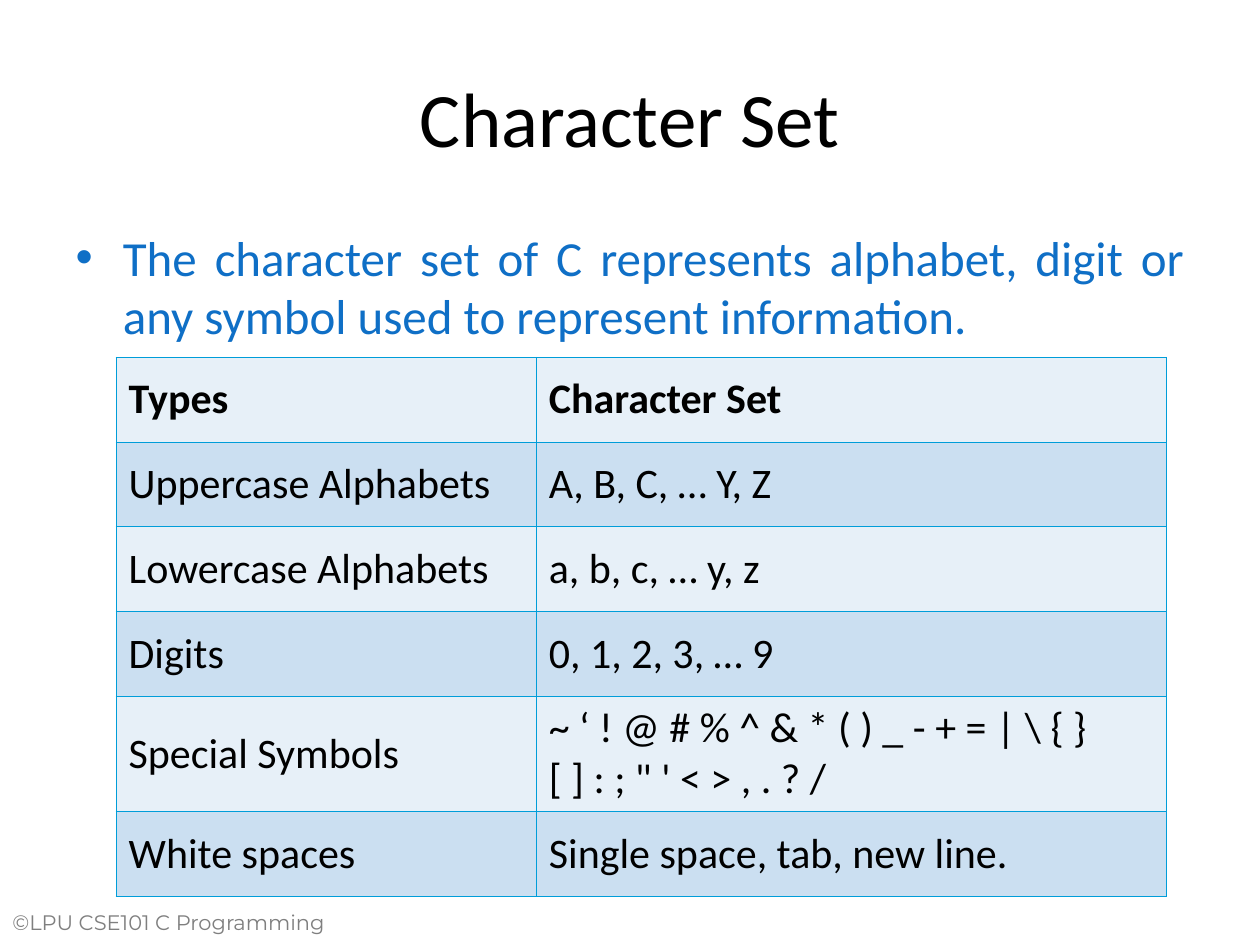
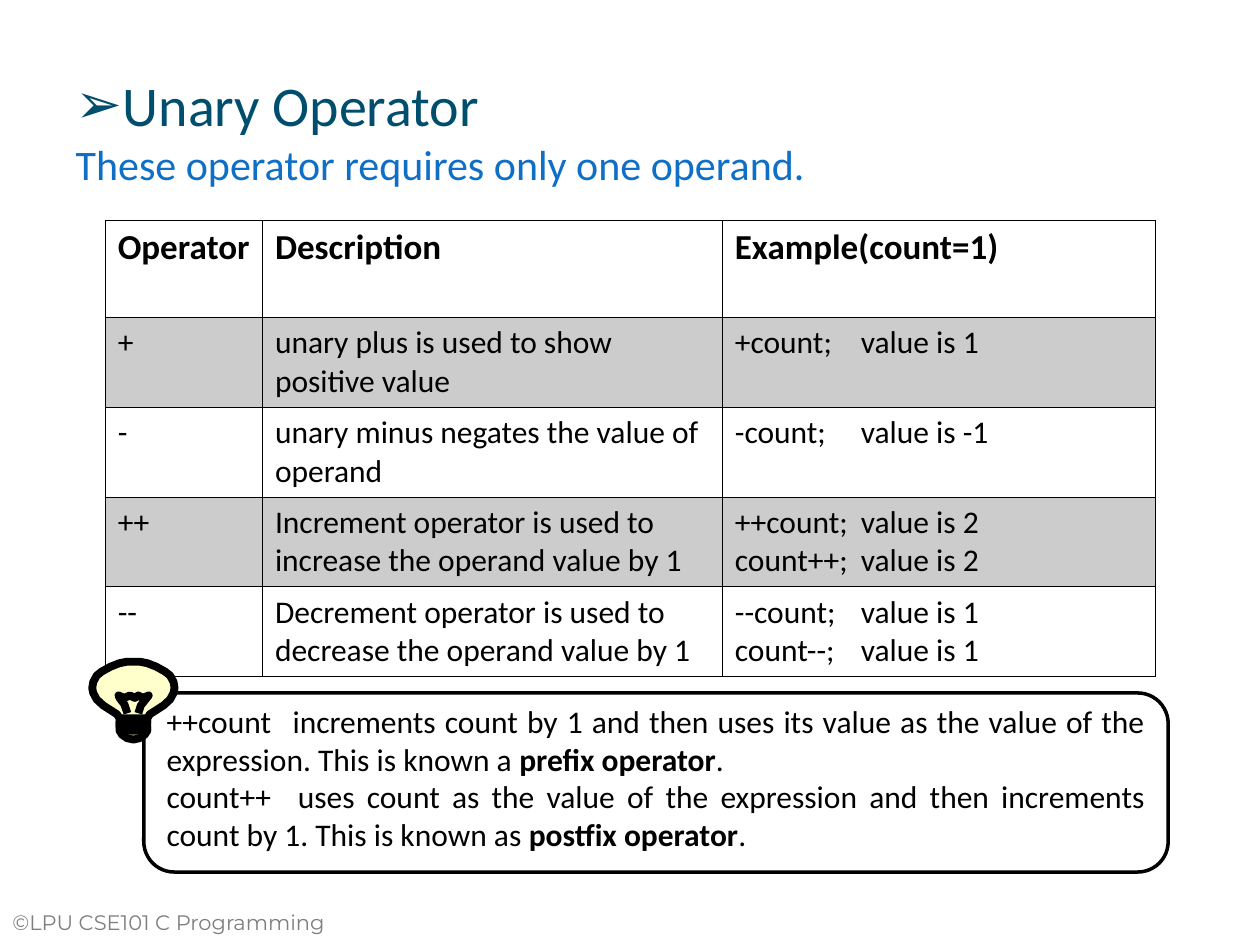
from lxml import etree
from pptx import Presentation
from pptx import util as u
from pptx.dml import color
from pptx.enum import shapes, text
from pptx.oxml import ns

BLACK, BLUE, TEAL, GREY = "000000", "0F6FC6", "004E6D", "7F7F7F"
FOOT = "©LPU CSE101 C Programming"

CHARS = dict(
    rows=[
        ("Types", "Character Set"),
        ("Uppercase Alphabets", "A, B, C, … Y, Z"),
        ("Lowercase Alphabets", "a, b, c, … y, z"),
        ("Digits", "0, 1, 2, 3, … 9"),
        ("Special Symbols", "~ ‘ ! @ # % ^ & * ( ) _ - + = | \\ { }\v[ ] : ; \" ' < > , . ? /"),
        ("White spaces", "Single space, tab, new line."),
    ],
    spot=(2.34, 7.2), wide=(8.47, 12.7), high=(1.71, 1.71, 1.71, 1.71, 2.32, 1.71),
    fills=("E7F0F8", "CBDFF1"), edge="009DD9", sizes=(24, 24),
    anchor=text.MSO_ANCHOR.MIDDLE,
)
UNARY = dict(
    rows=[
        ("Operator", "Description", "Example(count=1)"),
        ("+", "unary plus is used to show positive value", "+count; \tvalue is 1"),
        ("-", "unary minus negates the value of operand", "-count; \tvalue is -1"),
        ("++", "Increment operator is used to increase the operand value by 1",
         "++count; \tvalue is 2\ncount++; \tvalue is 2"),
        ("--", "Decrement operator is used to decrease the operand value by 1",
         "--count; \tvalue is 1\ncount--; \tvalue is 1"),
    ],
    spot=(2.12, 4.44), wide=(3.17, 9.27, 8.73), high=(1.96, 1.81, 1.81, 1.81, 1.81),
    fills=(None, "CCCCCC"), edge=BLACK, sizes=(20, 18),
    anchor=text.MSO_ANCHOR.TOP,
)
NOTES = [
    ("++count\tincrements count by 1 and then uses its value as the value of the "
     "expression. This is known a ", "prefix operator", "."),
    ("count++ \tuses count as the value of the expression and then increments "
     "count by 1. This is known as ", "postfix operator", "."),
]

MID = 2.69
GLASS = [(0, 14.91), (0.13, 14.88), (0.23, 14.81), (0.28, 14.73), (0.28, 14.48),
         (0.33, 14.4), (0.61, 14.22), (0.74, 14.1), (0.81, 13.97), (0.83, 13.87),
         (0.81, 13.75), (0.74, 13.62), (0.64, 13.54), (0.46, 13.44),
         (0.28, 13.37), (0.13, 13.34), (0, 13.34)]
WIRE = [(2.57, 14.38), (2.51, 14.2), (2.41, 14.07), (2.39, 14.02), (2.51, 14.07),
        (2.62, 14.02), (2.72, 14.07), (2.79, 14.02), (2.87, 14.07), (3, 14.02),
        (2.84, 14.22), (2.79, 14.38)]
SCREW = [(2.41, 14.48), (2.97, 14.48), (2.97, 14.58), (2.41, 14.55),
         (2.41, 14.66), (2.97, 14.66), (2.97, 14.73), (2.41, 14.73)]


def rgb(code):
    """Turn a hex string into a colour."""
    return color.RGBColor.from_string(code)


def cms(*nums):
    """Turn numbers into centimetre lengths."""
    return [u.Cm(n) for n in nums]


def style(frame, size, code, align=None, bold=False, face="Calibri"):
    """Format every run of a text frame."""
    for para in frame.paragraphs:
        para.space_before = u.Pt(0)
        if align is not None:
            para.alignment = align
        for run in para.runs:
            font = run.font
            font.name, font.size, font.bold = face, u.Pt(size), bold
            font.color.rgb = rgb(code)


def fill_in(holder, words, box, size, code, align, anchor=text.MSO_ANCHOR.TOP):
    """Move a placeholder, write its words and format them."""
    holder.left, holder.top, holder.width, holder.height = cms(*box)
    frame = holder.text_frame
    frame.text = words
    frame.auto_size = text.MSO_AUTO_SIZE.NONE
    frame.vertical_anchor = anchor
    style(frame, size, code, align)


def bullet(para, mark=None, indent=0):
    """Give a paragraph a bullet mark, or take it away."""
    props = para._p.get_or_add_pPr()
    props.set("marL", str(u.Cm(indent)))
    props.set("indent", str(-u.Cm(indent)))
    if mark:
        etree.SubElement(props, ns.qn("a:buFont"), typeface="Arial")
        etree.SubElement(props, ns.qn("a:buChar"), char=mark)
    else:
        etree.SubElement(props, ns.qn("a:buNone"))


def border(cell, code):
    """Draw a thin line on all four sides of a cell."""
    props = cell._tc.get_or_add_tcPr()
    for i, side in enumerate("LRTB"):
        line = etree.Element(ns.qn("a:ln" + side), w=str(u.Pt(0.45)))
        solid = etree.SubElement(line, ns.qn("a:solidFill"))
        etree.SubElement(solid, ns.qn("a:srgbClr"), val=code)
        props.insert(i, line)


def grid(slide, rows, spot, wide, high, fills, edge, sizes, anchor):
    """Add a table with a bold head row and banded fills."""
    box = cms(*spot, sum(wide), sum(high))
    table = slide.shapes.add_table(len(rows), len(wide), *box).table
    for col, size in zip(table.columns, wide):
        col.width = u.Cm(size)
    for r, (row, tall) in enumerate(zip(rows, high)):
        table.rows[r].height = u.Cm(tall)
        for c, words in enumerate(row):
            cell = table.cell(r, c)
            cell.text_frame.text = words
            cell.vertical_anchor = anchor
            style(cell.text_frame, sizes[r > 0], BLACK, bold=r == 0)
            paint(cell, fills[r % 2])
            border(cell, edge)


def paint(item, code):
    """Fill an item with a colour, or with nothing."""
    if code:
        item.fill.solid()
        item.fill.fore_color.rgb = rgb(code)
    else:
        item.fill.background()


def dress(shape, code, width):
    """Set fill and black outline of a shape."""
    shape.shadow.inherit = False
    paint(shape, code)
    shape.line.color.rgb = rgb(BLACK)
    shape.line.width = u.Pt(width)


def trace(slide, *parts, close=False, code=None):
    """Draw one freeform from lists of points."""
    first, *rest = [[cms(*point) for point in part] for part in parts]
    path = slide.shapes.build_freeform(*first[0])
    path.add_line_segments(first[1:], close=close)
    for part in rest:
        path.move_to(*part[0])
        path.add_line_segments(part[1:], close=close)
    dress(path.convert_to_shape(), code, 4.5)


def callout(slide):
    """Add the rounded note about prefix and postfix."""
    note = slide.shapes.add_shape(
        shapes.MSO_SHAPE.ROUNDED_RECTANGLE, *cms(2.9, 13.97, 20.65, 3.61))
    note.adjustments[0] = 0.17
    dress(note, "FFFFFF", 2)
    frame = note.text_frame
    frame.word_wrap = True
    frame.vertical_anchor = text.MSO_ANCHOR.TOP
    frame.margin_left = frame.margin_right = u.Cm(0.28)
    frame.margin_top = frame.margin_bottom = 0
    for i, parts in enumerate(NOTES):
        para = frame.add_paragraph() if i else frame.paragraphs[0]
        for words in parts:
            para.add_run().text = words
    style(frame, 18, BLACK, text.PP_ALIGN.JUSTIFY)
    for para in frame.paragraphs:
        para.runs[1].font.bold = True


def footer(deck, slide):
    """Put the course line on the slide master."""
    box = slide.shapes.add_textbox(*cms(0, 18.21, 7.62, 1.07))
    box.text_frame.word_wrap = True
    box.text_frame.text = FOOT
    style(box.text_frame, 12, GREY, face="Montserrat")
    deck.slide_master.shapes._spTree.append(box._element)


def main():
    """Build both slides and save them."""
    deck = Presentation()
    deck.slide_width, deck.slide_height = cms(25.4, 19.05)
    chars, unary = [deck.slides.add_slide(deck.slide_layouts[1]) for _ in range(2)]
    footer(deck, chars)
    left = text.PP_ALIGN.LEFT

    fill_in(chars.shapes.title, "Character Set", (1.27, 0.76, 22.86, 3.18), 44,
            BLACK, text.PP_ALIGN.CENTER, text.MSO_ANCHOR.MIDDLE)
    fill_in(chars.placeholders[1],
            "The character set of C represents alphabet, digit or any symbol "
            "used to represent information.",
            (1.27, 4.45, 22.86, 2.7), 28, BLUE, text.PP_ALIGN.JUSTIFY)
    grid(chars, **CHARS)

    fill_in(unary.shapes.title, "Unary Operator", (1.27, 1.3, 22.86, 1.5), 32, TEAL, left)
    bullet(unary.shapes.title.text_frame.paragraphs[0], "➢", 0.95)
    body = unary.placeholders[1]
    fill_in(body, "These operator requires only one operand.",
            (1.27, 2.67, 22.86, 1.4), 24, BLUE, left)
    bullet(body.text_frame.paragraphs[0])
    grid(unary, **UNARY)
    callout(unary)
    glass = [(MID + x, y) for x, y in GLASS]
    glass += [(MID - x, y) for x, y in GLASS[-2:0:-1]]
    trace(unary, glass, close=True, code="FFFFCC")
    trace(unary, WIRE, SCREW)
    deck.save("out.pptx")


if __name__ == "__main__":
    main()
